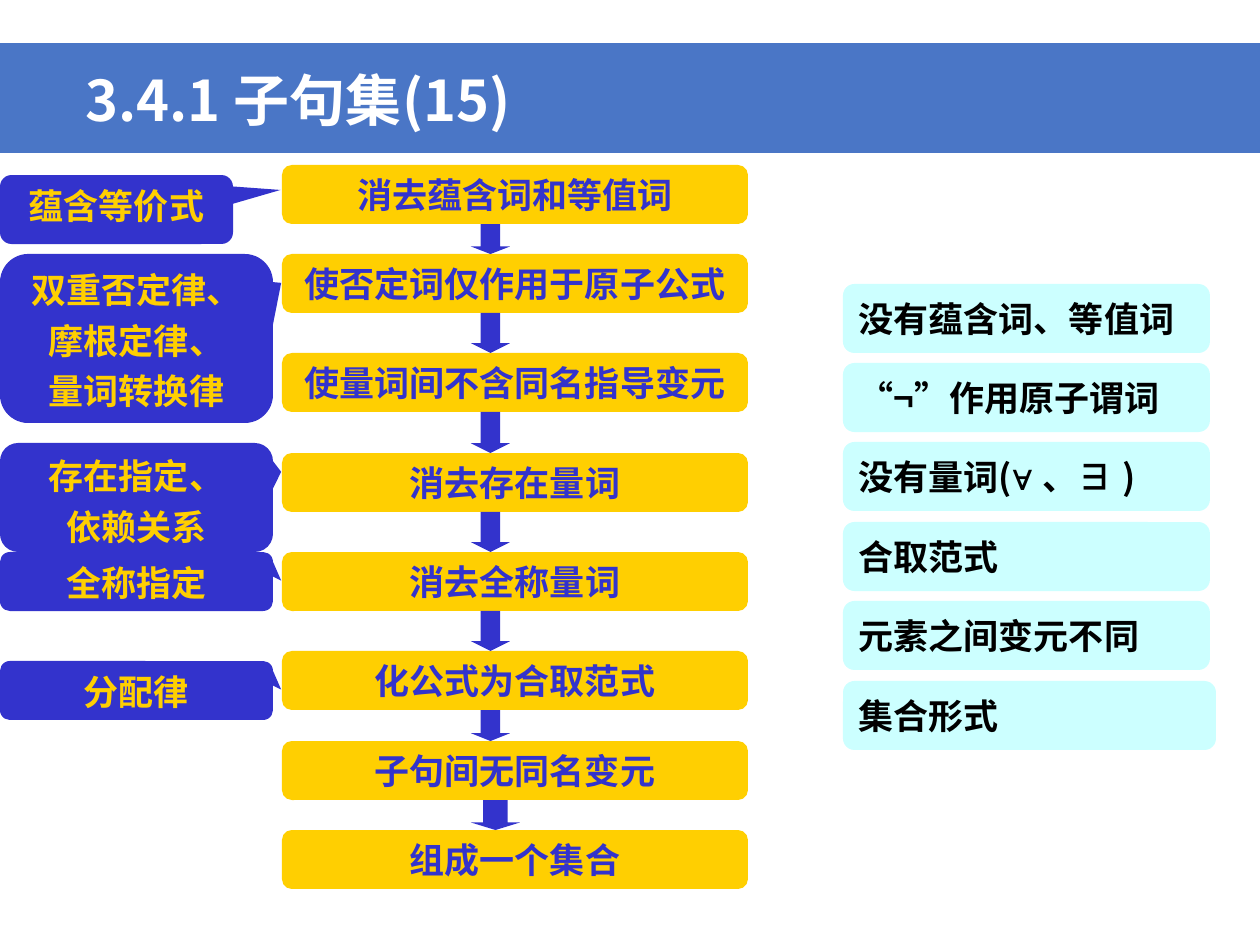
from lxml import etree
from pptx import Presentation
from pptx import util as u
from pptx.dml.color import RGBColor
from pptx.enum import shapes, text
from pptx.oxml.ns import qn

PX = u.Inches(1) / 126
BAND_BLUE = RGBColor(0x4A, 0x76, 0xC6)
INDIGO = RGBColor(0x33, 0x33, 0xCC)
GOLD = RGBColor(0xFF, 0xCF, 0x01)
PALE_CYAN = RGBColor(0xCC, 0xFF, 0xFF)
WHITE = RGBColor(0xFF, 0xFF, 0xFF)
BLACK = RGBColor(0, 0, 0)
ROBOTO, NOTO, ARIAL = "Roboto", "Noto Sans CJK SC", "Arial"
SHAPE = shapes.MSO_SHAPE
ANCHOR = text.MSO_ANCHOR
ALIGN = text.PP_ALIGN

STEP_X, STEP_W, STEP_H = 282, 466, 59
STEPS = [
    (165, "消去蕴含词和等值词"),
    (254, "使否定词仅作用于原子公式"),
    (353, "使量词间不含同名指导变元"),
    (453, "消去存在量词"),
    (552, "消去全称量词"),
    (651, "化公式为合取范式"),
    (741, "子句间无同名变元"),
    (830, "组成一个集合"),
]

# Each result: runs of (text, font)
RESULTS = [
    [("没有蕴含词、等值词", ROBOTO)],
    [("“¬”作用原子谓词", NOTO)],
    [("没有量词(", NOTO), ("∀ ", ARIAL), ("、", NOTO), ("∃ ", ARIAL), (")", NOTO)],
    [("合取范式", NOTO)],
    [("元素之间变元不同", NOTO)],
    [("集合形式", NOTO)],
]

# Each rule: top, width, height, pointer offset, lines
RULES = [
    (175, 233, 69, (0.704, -0.283), ["蕴含等价式"]),
    (254, 273, 169, (0.53, -0.329), ["双重否定律、", "摩根定律、", "量词转换律"]),
    (443, 273, 109, (0.53, -0.235), ["存在指定、", "依赖关系"]),
    (552, 273, 59, (0.53, -0.015), ["全称指定"]),
    (661, 273, 59, (0.53, -0.015), ["分配律"]),
]


def px(*lengths):
    return [u.Emu(round(n * PX)) for n in lengths]


def add_block(slide, kind, box, fill, adjustments=()):
    sp = slide.shapes.add_shape(kind, *px(*box))
    sp.shadow.inherit = False
    sp.fill.solid()
    sp.fill.fore_color.rgb = fill
    sp.line.fill.background()
    for i, value in enumerate(adjustments):
        sp.adjustments[i] = value
    return sp


def write(sp, paragraphs, *, color, size=20, align=ALIGN.CENTER, anchor=ANCHOR.MIDDLE):
    """Fill a shape with paragraphs, each a list of (text, font) runs."""
    tf = sp.text_frame
    tf.word_wrap = True
    tf.vertical_anchor = anchor
    for i, runs in enumerate(paragraphs):
        p = tf.add_paragraph() if i else tf.paragraphs[0]
        p.alignment = align
        if i:
            p.space_before = u.Pt(5)
        for content, font in runs:
            r = p.add_run()
            r.text = content
            r.font.size = u.Pt(size)
            r.font.bold = True
            r.font.color.rgb = color
            r.font.name = font
            east_asian = etree.SubElement(r.font._element, qn("a:ea"))
            east_asian.set("typeface", font)


def add_title(slide):
    add_block(slide, SHAPE.RECTANGLE, (0, 43, 1260, 110), BAND_BLUE)
    title = slide.shapes.add_textbox(*px(73, 43, 1074, 96))
    write(title, [[("3.4.1 子句集(15)", NOTO)]], color=WHITE, size=32,
          align=ALIGN.LEFT, anchor=ANCHOR.BOTTOM)


def add_steps(slide):
    for top, label in STEPS:
        sp = add_block(slide, SHAPE.ROUNDED_RECTANGLE,
                       (STEP_X, top, STEP_W, STEP_H), GOLD)
        write(sp, [[(label, ROBOTO)]], color=INDIGO)
    tops = [top for top, _ in STEPS]
    for top, following in zip(tops, tops[1:]):
        start = top + STEP_H
        width = 49 if following == tops[-1] else 39
        add_block(slide, SHAPE.DOWN_ARROW, (471, start, width, following - start),
                  INDIGO, (0.5, 0.25))


def add_results(slide):
    for i, runs in enumerate(RESULTS):
        width = 373 if i == len(RESULTS) - 1 else 367
        sp = add_block(slide, SHAPE.ROUNDED_RECTANGLE,
                       (843, 284 + i * 397 // 5, width, 69), PALE_CYAN)
        write(sp, [runs], color=BLACK, align=ALIGN.LEFT)


def add_rules(slide):
    for top, width, height, pointer, lines in RULES:
        sp = add_block(slide, SHAPE.ROUNDED_RECTANGULAR_CALLOUT,
                       (0, top, width, height), INDIGO, (*pointer, 0.167))
        write(sp, [[(line, ROBOTO)] for line in lines], color=GOLD, anchor=ANCHOR.TOP)


def main():
    prs = Presentation()
    prs.slide_width, prs.slide_height = px(1260, 945)
    slide = prs.slides.add_slide(prs.slide_layouts[6])
    add_title(slide)
    add_steps(slide)
    add_results(slide)
    add_rules(slide)
    prs.save("out.pptx")


if __name__ == "__main__":
    main()
